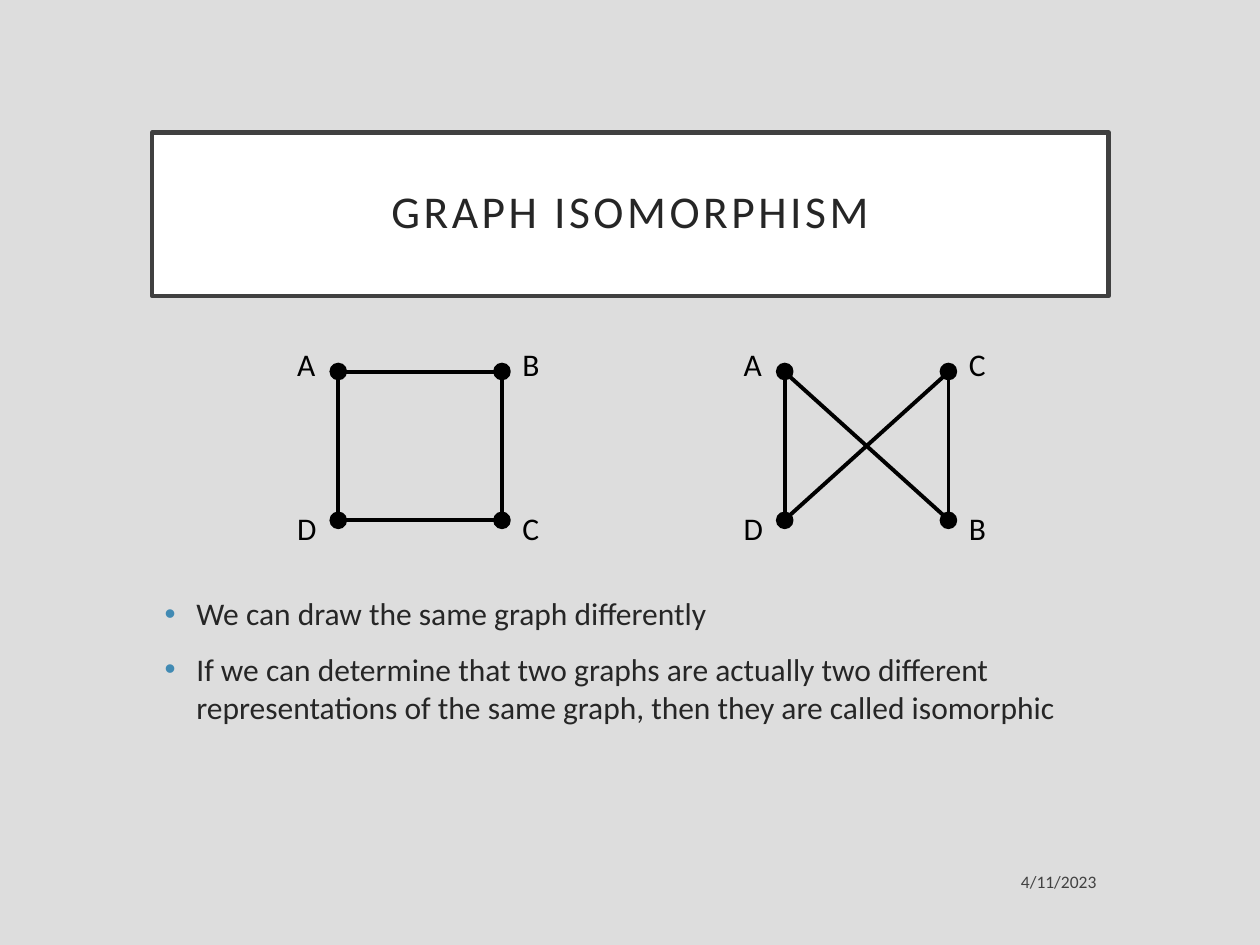
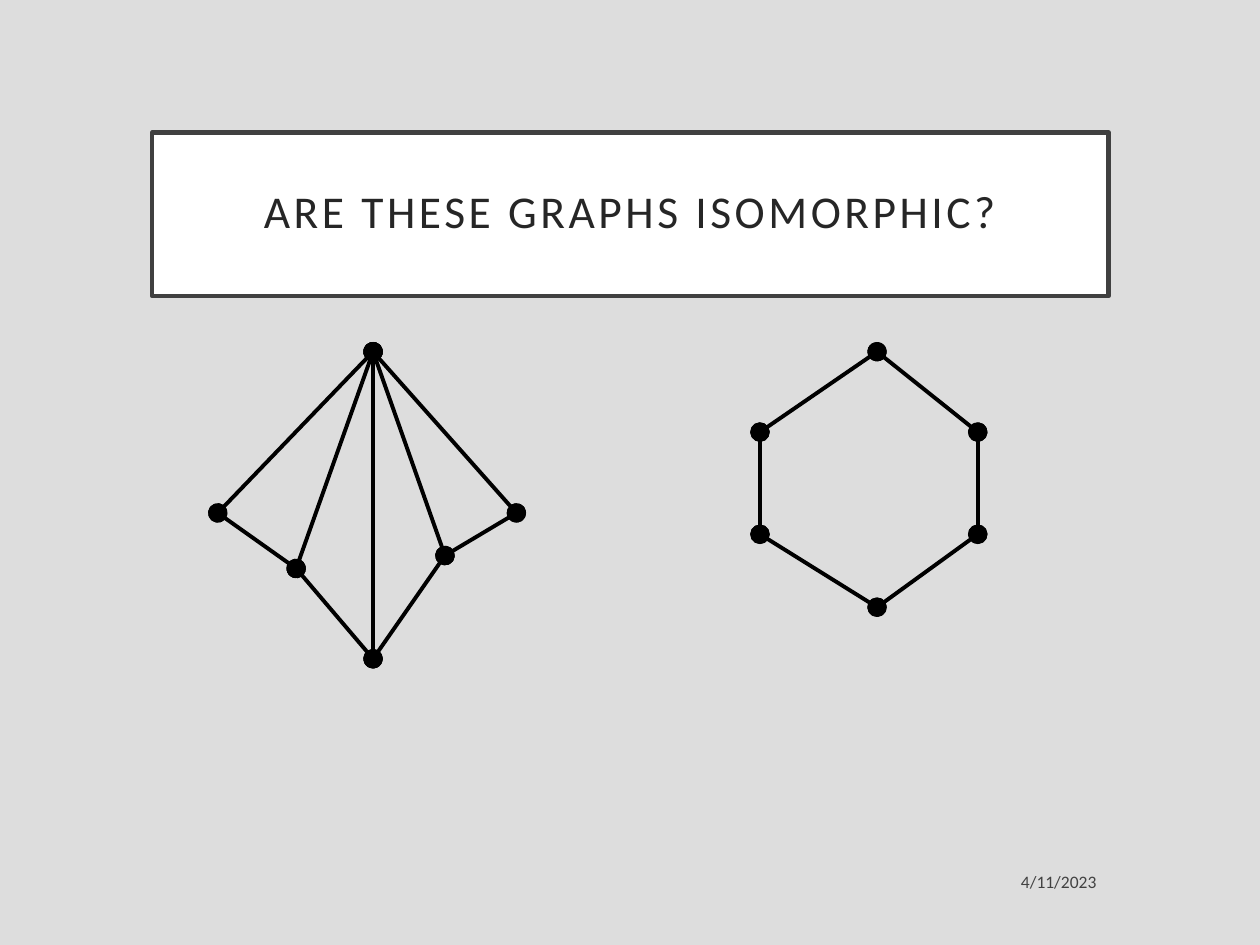
import math
from itertools import pairwise, product

from lxml import etree
from pptx import Presentation, util as u
from pptx.dml import color as dml
from pptx.enum import shapes, text
from pptx.oxml import ns
from pptx.util import Cm

FONT = "Calibri"
BLACK = "000000"
INK = "262626"
FRAME = "404040"
ACCENT = "418AB3"
BACKGROUND = "DDDDDD"
rgb = dml.RGBColor.from_string


def write_text(shape, lines, colour, font_format, paragraph_format, frame_format):
    frame = shape.text_frame
    frame.text = "\n".join(lines)
    for name, value in frame_format.items():
        setattr(frame, name, value)
    for paragraph in frame.paragraphs:
        for name, value in paragraph_format.items():
            setattr(paragraph, name, value)
        font = paragraph.runs[0].font
        for name, value in font_format.items():
            setattr(font, name, value)
        font.color.rgb = rgb(colour)
    return frame.paragraphs


def draw_edge(slide, start, end):
    edge = slide.shapes.add_connector(
        shapes.MSO_CONNECTOR.STRAIGHT, *(Cm(value) for value in (*start, *end))
    )
    edge.line.color.rgb = rgb(BLACK)
    edge.line.width = u.Pt(2.25)
    etree.SubElement(edge.element.spPr, ns.qn("a:effectLst"))
    return edge


title_font = {"name": FONT, "size": u.Pt(26)}
title_paragraph = {"alignment": text.PP_ALIGN.CENTER, "line_spacing": 0.9}
title_frame = {"word_wrap": True, "vertical_anchor": text.MSO_ANCHOR.MIDDLE}
for side in ("left", "top", "right", "bottom"):
    title_frame[f"margin_{side}"] = Cm(0.51)

date_font = {"name": FONT, "size": u.Pt(10)}
date_paragraph = {"alignment": text.PP_ALIGN.RIGHT}
date_frame = {"word_wrap": True, "vertical_anchor": text.MSO_ANCHOR.MIDDLE}

body_font = {"name": FONT, "size": u.Pt(18)}
body_paragraph = {"space_before": u.Pt(10)}
body_frame = {"word_wrap": True}
label_frame = {"word_wrap": False, "auto_size": text.MSO_AUTO_SIZE.SHAPE_TO_FIT_TEXT}

presentation = Presentation()
presentation.slide_width = Cm(25.4)
presentation.slide_height = Cm(19.05)
background = presentation.slide_master.background.fill
background.solid()
background.fore_color.rgb = rgb(BACKGROUND)

slides = []
for title in ("GRAPH ISOMORPHISM", "ARE THESE GRAPHS ISOMORPHIC?"):
    slide = presentation.slides.add_slide(presentation.slide_layouts[6])
    slides.append(slide)
    banner = slide.shapes.add_shape(
        shapes.MSO_SHAPE.RECTANGLE, Cm(3.07), Cm(2.67), Cm(19.28), Cm(3.3)
    )
    banner.shadow.inherit = False
    banner.fill.solid()
    banner.fill.fore_color.rgb = rgb("FFFFFF")
    banner.line.color.rgb = rgb(FRAME)
    banner.line.width = u.Pt(2.5)
    paragraphs = write_text(banner, [title], INK, title_font, title_paragraph, title_frame)
    paragraphs[0].runs[0].font._element.set("spc", "200")

    date = slide.shapes.add_textbox(Cm(16.61), Cm(17.32), Cm(5.74), Cm(0.89))
    write_text(date, ["4/11/2023"], BLACK, date_font, date_paragraph, date_frame)
    for colour in date.element.iter(ns.qn("a:srgbClr")):
        etree.SubElement(colour, ns.qn("a:alpha"), val="70000")

drawing_slide, question_slide = slides

body = drawing_slide.shapes.add_textbox(Cm(3.07), Cm(11.86), Cm(19.28), Cm(4.09))
statements = [
    "We can draw the same graph differently",
    "If we can determine that two graphs are actually two different "
    "representations of the same graph, then they are called isomorphic",
]
for paragraph in write_text(body, statements, INK, body_font, body_paragraph, body_frame):
    properties = paragraph._p.get_or_add_pPr()
    properties.set("marL", str(Cm(0.64)))
    properties.set("indent", str(-Cm(0.64)))
    bullet_colour = etree.SubElement(properties, ns.qn("a:buClr"))
    etree.SubElement(bullet_colour, ns.qn("a:srgbClr"), val=ACCENT)
    etree.SubElement(properties, ns.qn("a:buFont"), typeface="Arial")
    etree.SubElement(properties, ns.qn("a:buChar"), char="•")

radius = 0.16
label_widths = {"A": 0.94, "B": 0.87, "C": 0.96, "D": 0.99}
for graph_left, corner_names in ((6.82, "ADBC"), (15.82, "ADCB")):
    corners = {}
    for name, (column, row) in zip(corner_names, product(range(2), range(2))):
        x, y = graph_left + 3.3 * column, 7.49 + 3 * row
        corners[name] = (x, y)
        dot = drawing_slide.shapes.add_shape(
            shapes.MSO_SHAPE.OVAL, Cm(x - radius), Cm(y - radius), Cm(2 * radius), Cm(2 * radius)
        )
        dot.shadow.inherit = False
        dot.fill.solid()
        dot.fill.fore_color.rgb = rgb(BLACK)
        dot.line.color.rgb = rgb(BLACK)
        dot.line.width = u.Pt(1)
        label = drawing_slide.shapes.add_textbox(
            Cm(x + (-1.08, 0.16)[column]), Cm(6.83 + 3.3 * row), Cm(label_widths[name]), Cm(1.02)
        )
        write_text(label, [name], BLACK, body_font, {}, label_frame)
    for first, second in pairwise("ABCDA"):
        (x1, y1), (x2, y2) = corners[first], corners[second]
        step_x, step_y = (x2 > x1) - (x2 < x1), (y2 > y1) - (y2 < y1)
        inset = radius / math.hypot(step_x, step_y)
        draw_edge(
            drawing_slide,
            (x1 + inset * step_x, y1 + inset * step_y),
            (x2 - inset * step_x, y2 - inset * step_y),
        )

apex = (7.52, 7.09)
rim = [(4.39, 10.34), (5.97, 11.46), (7.52, 13.28), (8.97, 11.2), (10.41, 10.34)]
hexagon = [
    (17.68, 7.09), (19.71, 8.71), (19.71, 10.77),
    (17.68, 12.24), (15.32, 10.77), (15.32, 8.71),
]
edges = [(apex, vertex) for vertex in rim]
edges += pairwise(rim)
edges += pairwise(hexagon + hexagon[:1])
for start, end in edges:
    edge = draw_edge(question_slide, start, end)
    outline = edge.element.spPr.find(ns.qn("a:ln"))
    for tip in ("a:headEnd", "a:tailEnd"):
        etree.SubElement(outline, ns.qn(tip), type="oval", w="lg", len="lg")

presentation.save("out.pptx")
